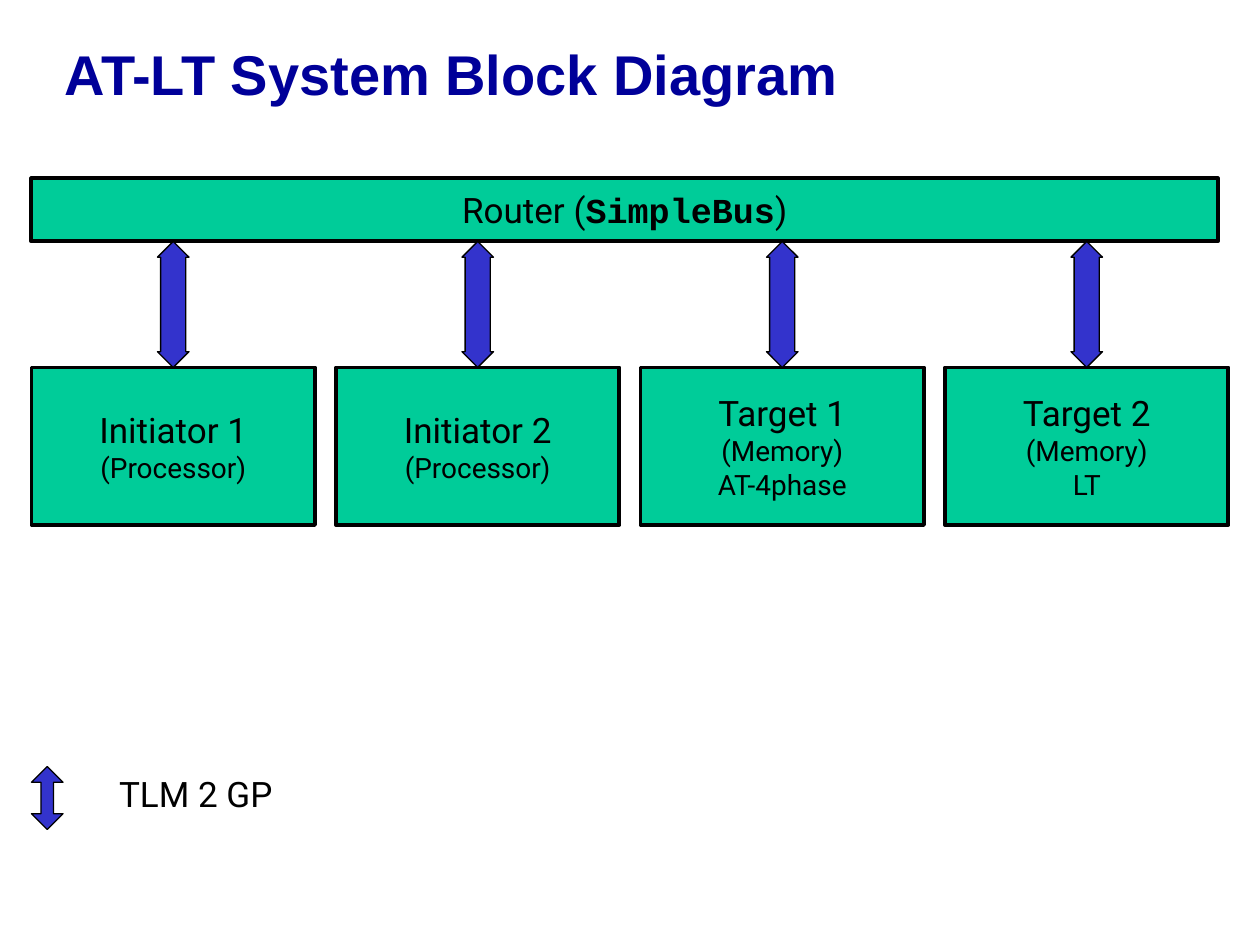
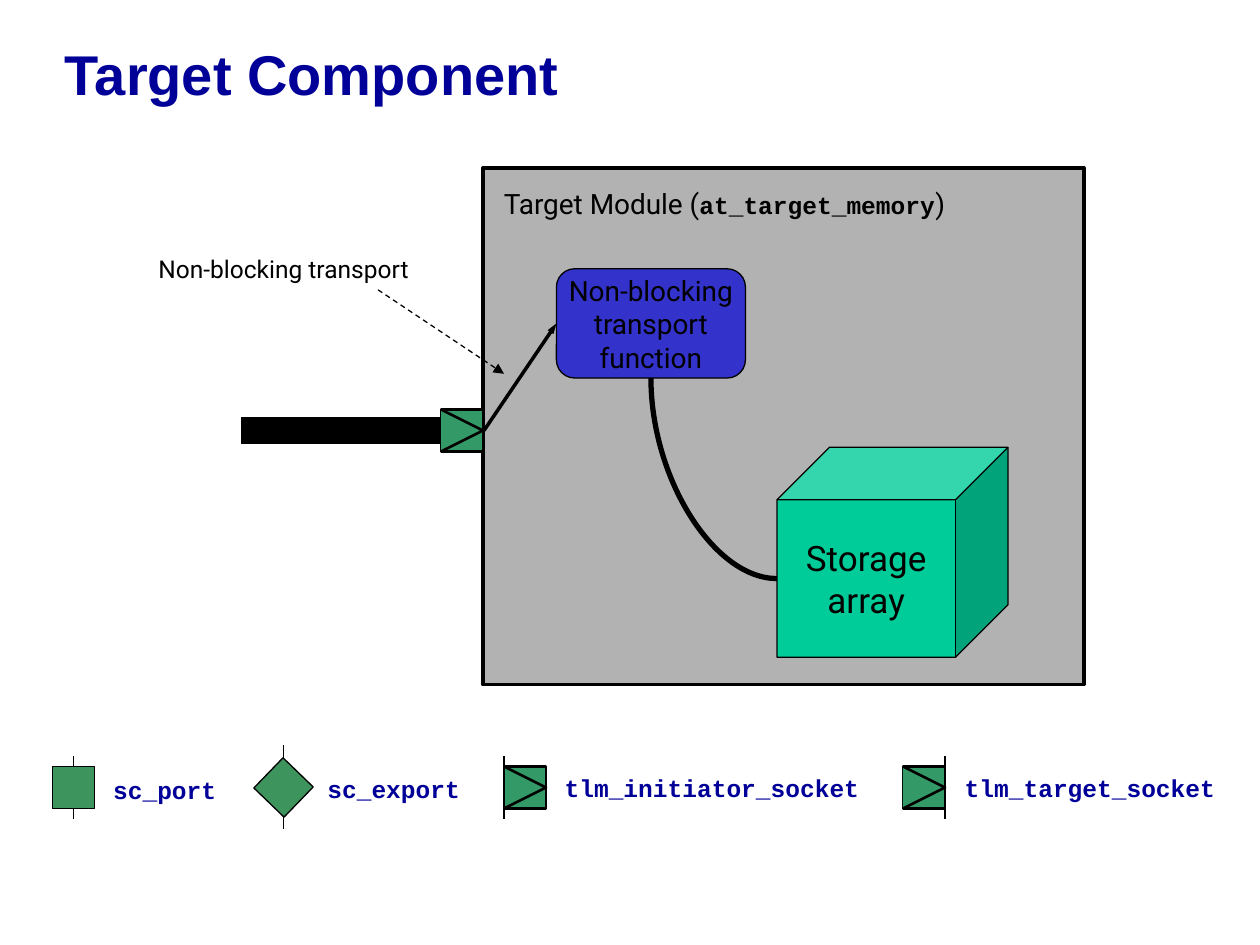
from pptx import Presentation
from pptx.dml.color import RGBColor as RGB
from pptx.enum.dml import MSO_LINE as DASH
from pptx.enum.shapes import MSO_SHAPE as SHP, MSO_CONNECTOR as CON
from pptx.enum.text import PP_ALIGN as AL, MSO_ANCHOR as ANC, MSO_AUTO_SIZE as FIT
from pptx.oxml.ns import qn
from pptx.util import Pt
from lxml.etree import SubElement

# Scale: 120 px to the inch
PX = 7620
WIDE, HIGH = 1200, 900

# Shared look
NAVY, BLUE, BLACK, GREY = "000099", "3333CC", "000000", "B2B2B2"
MINT, SOCK, PORT = "00CC99", "339966", "3E945D"
SANS, MONO, HEAD = "Roboto", "Courier New", "Arial"
SIDE = 40  # edge of a port or socket

# Runs are (text, size, font); each inner list is a paragraph
def lines(first, *rest, size=16):
    return [[(first, 20, SANS)]] + [[(t, size, SANS)] for t in rest]


TITLES = ["AT-LT System Block Diagram", "Target Component"]
ROUTER = [[("Router (", 20, SANS), ("SimpleBus", 20, MONO), (")", 20, SANS)]]
BLOCKS = [
    lines("Initiator 1", "(Processor)"),
    lines("Initiator 2", "(Processor)"),
    lines("Target 1", "(Memory)", "AT-4phase"),
    lines("Target 2", "(Memory)", "LT"),
]
MODULE = [[("Target Module (", 16, SANS), ("at_target_memory", 14, MONO),
           (")", 16, SANS)]]
FUNC = [[(t, 16, SANS)] for t in ("Non-blocking", "transport", "function")]
STORE = lines("Storage", "array", size=20)
CALL = [[("Non-blocking transport", 14, SANS)]]
# name, kind, symbol left, stem x, stem half height, label box
KEYS = [
    ("sc_port", "port", 50, 70, 30, (96, 732, 122, 41)),
    ("sc_export", "export", 250, 270, 40, (300, 731, 150, 41)),
    ("tlm_initiator_socket", "socket", 480, 480, 30, (526, 730, 305, 41)),
    ("tlm_target_socket", "socket", 860, 900, 30, (907, 730, 263, 41)),
]


def hue(code):
    return RGB.from_string(code)


def px(*nums):
    return [round(n * PX) for n in nums]


def write(shape, paras, color=BLACK, align=AL.LEFT, anchor=ANC.TOP, wrap=False):
    frame = shape.text_frame
    frame.word_wrap = wrap
    frame.vertical_anchor = anchor
    for i, runs in enumerate(paras):
        para = frame.paragraphs[0] if i == 0 else frame.add_paragraph()
        para.alignment = align
        for text, size, face in runs:
            run = para.add_run()
            run.text = text
            font = run.font
            font.size, font.name = Pt(size), face
            font.bold = face in (MONO, HEAD)
            font.color.rgb = hue(color)
    return frame


def label(page, box, paras, **look):
    frame = write(page.shapes.add_textbox(*px(*box)), paras, **look)
    frame.auto_size = FIT.SHAPE_TO_FIT_TEXT
    return frame


def paint(shape, fill, width):
    shape.shadow.inherit = False
    shape.fill.solid()
    shape.fill.fore_color.rgb = hue(fill)
    shape.line.color.rgb = hue(BLACK)
    shape.line.width = Pt(width)
    return shape


def block(page, kind, box, fill, width=0.75, paras=(), adj=()):
    shape = paint(page.shapes.add_shape(kind, *px(*box)), fill, width)
    for i, part in enumerate(adj):
        shape.adjustments[i] = part
    if paras:
        write(shape, paras, align=AL.CENTER, anchor=ANC.MIDDLE)
    return shape


def link(page, start, end, width=0.75, kind=CON.STRAIGHT, tip=None, dash=False):
    wire = page.shapes.add_connector(kind, *px(*start, *end))
    wire.line.color.rgb = hue(BLACK)
    wire.line.width = Pt(width)
    if dash:
        wire.line.dash_style = DASH.DASH
    if tip:
        SubElement(wire.line._get_or_add_ln(), qn("a:tailEnd"),
                   type="triangle", w=tip, len="med")
    SubElement(wire._element.spPr, qn("a:effectLst"))
    return wire


def bend(page, start, end, width):
    """Quarter curve that leaves start downwards and enters end sideways."""
    (x1, y1), (x2, y2) = start, end
    mid_x, mid_y = (x1 + x2) / 2, (y1 + y2) / 2
    half_w, half_h = (y2 - y1) / 2, (x2 - x1) / 2
    wire = link(page, (mid_x + half_w, mid_y - half_h),
                (mid_x - half_w, mid_y + half_h), width, CON.CURVE)
    props = wire._element.spPr
    props.xfrm.set("rot", "16200000")
    props.find(qn("a:prstGeom")).set("prst", "curvedConnector2")


def socket(page, x, y):
    block(page, SHP.RECTANGLE, (x, y, SIDE, SIDE), SOCK, 1.5)
    pen = page.shapes.build_freeform(*px(x, y))
    pen.add_line_segments([px(x + SIDE, y + SIDE / 2), px(x, y + SIDE)],
                          close=False)
    paint(pen.convert_to_shape(), SOCK, 1.5)


def arrow(page, x, y, high, tip):
    block(page, SHP.UP_DOWN_ARROW, (x, y, 30, high), BLUE, adj=(0.5, tip))


def start(deck, title):
    page = deck.slides.add_slide(deck.slide_layouts[6])
    box = page.shapes.add_textbox(*px(50, 0, 1140, 150))
    frame = write(box, [[(title, 32, HEAD)]], NAVY, anchor=ANC.MIDDLE, wrap=True)
    frame.paragraphs[0].line_spacing = 0.85
    return page


def system(page):
    # Router over four equal blocks, each with its arrow
    block(page, SHP.RECTANGLE, (30, 170, 1130, 60), MINT, 2.25, ROUTER)
    for i, paras in enumerate(BLOCKS):
        x = 30 + 290 * i
        block(page, SHP.RECTANGLE, (x, 350, 270, 150), MINT, 2.25, paras)
        arrow(page, x + 120, 230, 120, 0.8)
    # Key
    arrow(page, 30, 730, 60, 0.4)
    label(page, (101, 730, 171, 53), [[("TLM 2 GP", 20, SANS)]], align=AL.CENTER)


def target(page):
    # Key row
    mid = 750
    for name, kind, x, stem, half, box in KEYS:
        ends = (stem, mid - half), (stem, mid + half)
        label(page, box, [[(name, 14, MONO)]], color=NAVY)
        if kind == "socket":
            socket(page, x, mid - SIDE / 2)
            link(page, *ends)
        else:
            link(page, *ends)
            sign = block(page, SHP.RECTANGLE, (x, mid - SIDE / 2, SIDE, SIDE), PORT)
            sign.rotation = 44 if kind == "export" else 0
    # Module and its parts
    block(page, SHP.RECTANGLE, (460, 160, 572, 492), GREY, 2.25)
    frame = label(page, (468, 172, 444, 77), MODULE, wrap=True)
    frame.paragraphs[0].space_before = Pt(10)
    block(page, SHP.CUBE, (740, 426, 220, 200), MINT, paras=STORE, adj=(0.25,))
    link(page, (461, 410), (230, 410), 15)
    block(page, SHP.ROUNDED_RECTANGLE, (530, 256, 180, 104), BLUE, paras=FUNC)
    # Calls and data path
    link(page, (461, 410), (530, 308), 2, tip="sm")
    link(page, (360, 276), (480, 356), tip="med", dash=True)
    label(page, (139, 236, 281, 41), CALL)
    bend(page, (620, 360), (740, 551), 3)
    socket(page, 420, 390)


def main():
    deck = Presentation()
    deck.slide_width, deck.slide_height = px(WIDE, HIGH)
    for title, draw in zip(TITLES, (system, target)):
        draw(start(deck, title))
    deck.save("out.pptx")


if __name__ == "__main__":
    main()
